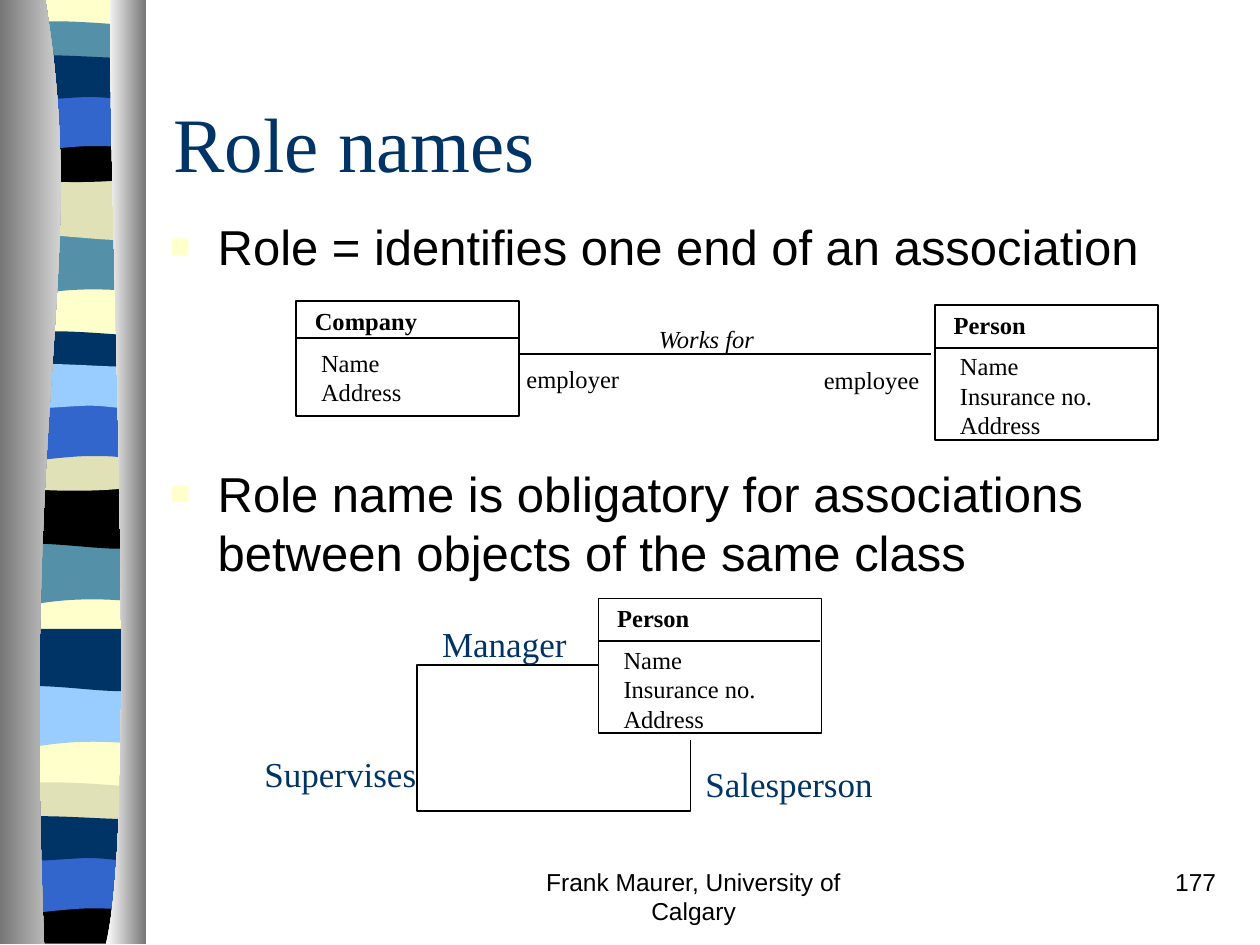
from lxml.etree import SubElement
from pptx import Presentation
from pptx.dml.color import RGBColor
from pptx.enum.shapes import MSO_CONNECTOR, MSO_SHAPE
from pptx.enum.text import MSO_ANCHOR, PP_ALIGN
from pptx.oxml.ns import qn
from pptx.util import Pt

PX = 9144
SERIF, SANS = "Times New Roman", "Arial"
BLACK = RGBColor(0x00, 0x00, 0x00)
WHITE = RGBColor(0xFF, 0xFF, 0xFF)
GREY = RGBColor(0x76, 0x76, 0x76)
NAVY = RGBColor(0x00, 0x33, 0x66)
BLUE = RGBColor(0x33, 0x66, 0xCC)
SKY = RGBColor(0x99, 0xCC, 0xFF)
TEAL = RGBColor(0x54, 0x90, 0xA8)
CREAM = RGBColor(0xFF, 0xFF, 0xCC)
SAND = RGBColor(0xE1, 0xE1, 0xB7)

FLAT = [(0, 0), (108, 0)]
BOWL = [(0, 0), (66, 5), (85, 0), (108, 0)]
PEAK = [(0, 0), (6, -5), (23, -4), (41, -4), (59, -4), (94, -1), (108, 0)]
LIFT = [(0, 0), (15, -5), (73, 0), (91, 0), (109, 0), (105, 0), (108, 0)]
SWELL = [(0, 0), (11, 5), (48, 0), (66, 0), (84, 0), (101, 5), (108, 0)]
HUMP = [(0, 0), (16, 0), (48, -5), (66, -5), (84, -5), (91, -5), (108, 0)]
SWAG = [(0, 0), (18, 4), (90, 4), (108, 0)]
SAG = [(0, 0), (18, 6), (90, 6), (108, 0)]
WAVE = [(0, 0), (33, -6), (90, 8), (108, 0)]
DIP = [(0, 0), (18, 8), (33, -8), (108, 0)]

DRIFT, ROLL, ARCH = (FLAT, DIP, 47), (FLAT, WAVE, 47), (FLAT, HUMP, 47)
CREST, RISE = (PEAK, SWAG, 24), (LIFT, SWELL, 31)
TROUGH, BASE = (BOWL, SAG, 32), (BOWL, FLAT, 37)
BANDS = [
    (6, 185, DRIFT, TEAL), (6, 141, ROLL, SAND), (6, 21, CREST, TEAL),
    (6, 108, TROUGH, BLACK), (6, 74, ARCH, BLUE), (6, 46, RISE, NAVY),
    (5, 431, DRIFT, TEAL), (5, 386, ROLL, BLACK), (5, 267, CREST, NAVY),
    (5, 353, TROUGH, SAND), (5, 320, ARCH, BLUE), (5, 291, RISE, SKY),
    (6, 544, DRIFT, SKY), (6, 499, ROLL, NAVY), (5, 625, CREST, SAND),
    (5, 712, BASE, BLACK), (5, 679, ARCH, BLUE), (5, 650, RISE, NAVY),
]


def trace(host, x, y, runs, close=True):
    """Draw an outline whose runs of 3n + 1 points are cubic curves."""
    spots = [((x + a) * PX, (y + b) * PX) for run in runs for a, b in run]
    pen = host.build_freeform(*spots[0], scale=1.0)
    pen.add_line_segments(spots[1:], close=close)
    shape = pen.convert_to_shape()
    shape.shadow.inherit = False
    marks = [i > 0 and len(run) % 3 == 1 for run in runs for i in range(len(run))]
    lines = list(shape._element.iter(qn("a:lnTo")))
    bends = [line for line, mark in zip(lines, marks[1:]) if mark]
    for i in range(0, len(bends), 3):
        curve = bends[i].makeelement(qn("a:cubicBezTo"))
        bends[i].addprevious(curve)
        for line in bends[i:i + 3]:
            curve.append(line[0])
            line.getparent().remove(line)
    return shape


def rule(host, x, y, w):
    """Draw a level black line."""
    line = host.add_connector(
        MSO_CONNECTOR.STRAIGHT, x * PX, y * PX, (x + w) * PX, y * PX)
    line.line.color.rgb = BLACK
    line.line.width = Pt(1)
    SubElement(line._element.spPr, qn("a:effectLst"))


def label(host, x, y, w, h, text, size=14, face=SERIF, color=BLACK,
          bold=False, italic=False, wrap=False, align=PP_ALIGN.LEFT):
    """Place one text box and return its frame."""
    box = host.add_textbox(x * PX, y * PX, w * PX, h * PX)
    frame = box.text_frame
    frame.text = text
    frame.word_wrap = wrap
    for para in frame.paragraphs:
        para.alignment = align
        for run in para.runs:
            font = run.font
            font.name, font.size = face, Pt(size)
            font.bold, font.italic = bold, italic
            font.color.rgb = color
    return frame


def paint(shape, color):
    """Fill a shape with one colour and no outline."""
    shape.fill.solid()
    shape.fill.fore_color.rgb = color
    shape.line.fill.background()


def shade(shape, left, right):
    """Fill a shape with a level blend."""
    shape.fill.gradient()
    shape.fill.gradient_angle = 0
    for stop, color in zip(shape.fill.gradient_stops, (left, right)):
        stop.color.rgb = color
    shape.line.fill.background()


def ribbon(host, x, y, h):
    """Draw the wavy bands between two grey pillars."""
    group = host.add_group_shape().shapes
    paint(trace(group, x + 6, y, [FLAT, [(108, h - 1), (0, h - 1)]]), CREAM)
    for dx, dy, (top, foot, deep), color in BANDS:
        edge = [(a, b + deep) for a, b in reversed(foot)]
        paint(trace(group, x + dx, y + dy, [top, edge]), color)
    left = [(36, 0), (71, 216), (17, 296), (35, h)]
    shade(trace(group, x, y, [left, [(0, h), (0, 0)]]), GREY, WHITE)
    right = [(88, 0), (84, 125), (111, 646), (84, h)]
    shade(trace(group, x, y, [right, [(116, h), (116, 0)]]), WHITE, GREY)


def heading(host, x, y, w, h):
    """Place the slide title."""
    frame = label(host, x, y, w, h, "Role names", 44, color=NAVY, wrap=True)
    frame.vertical_anchor = MSO_ANCHOR.MIDDLE


def points(host, x, y, w, h):
    """Place the two bullet points."""
    text = ("Role = identifies one end of an association\n"
            "Role name is obligatory for associations "
            "between objects of the same class")
    frame = label(host, x, y, w, h, text, 28, SANS, wrap=True)
    for para in frame.paragraphs:
        props = para._p.get_or_add_pPr()
        props.set("marL", str(38 * PX))
        props.set("indent", str(-38 * PX))
        tint = SubElement(props, qn("a:buClr"))
        SubElement(tint, qn("a:srgbClr"), val=str(CREAM))
        SubElement(props, qn("a:buSzPct"), val="70000")
        SubElement(props, qn("a:buFont"), typeface=SANS)
        SubElement(props, qn("a:buChar"), char="■")
    frame.paragraphs[1].space_before = Pt(107.5)


def card(host, x, y, h, split, name, wide, rows, span):
    """Draw a class box with its name and fields."""
    group = host.add_group_shape().shapes
    box = group.add_shape(MSO_SHAPE.RECTANGLE, x * PX, y * PX, 177 * PX, h * PX)
    box.shadow.inherit = False
    paint(box, WHITE)
    box.line.color.rgb = BLACK
    box.line.width = Pt(1)
    rule(group, x, y + split, 176)
    label(group, x + 10, y + 32, span, 10 + 23 * len(rows), "\n".join(rows))
    label(group, x + 5, y - 1, wide, 33, name, bold=True)


def person(host, x, y):
    """Draw the Person class box."""
    card(host, x, y, 107, 34, "Person", 78, ["Name", "Insurance no.", "Address"], 125)


def works(host, x, y):
    """Draw the link between Company and Person."""
    rule(host, x + 176, y + 42, 328)
    card(host, x, y, 91, 29, "Company", 101, ["Name", "Address"], 84)
    person(host, x + 507, y + 3)
    label(host, x + 278, y + 13, 98, 33, "Works for", italic=True)
    label(host, x + 173, y + 45, 94, 33, "employer")
    label(host, x + 409, y + 46, 96, 33, "employee")


def loop(host, x, y):
    """Draw the link from Person back to itself."""
    person(host, x + 275, y)
    bends = [(275, 53), (131, 53), (131, 169), (348, 169), (348, 112)]
    line = trace(host, x, y, [bends], close=False)
    line.fill.background()
    line.line.color.rgb = BLACK
    line.line.width = Pt(1)
    for dx, dy, w, text in ((141, 14, 119, "Manager"), (0, 117, 141, "Supervises"),
                            (350, 125, 153, "Salesperson")):
        label(host, x + dx, y + dy, w, 43, text, 20, color=NAVY)


def footer(host, x, y, h):
    """Place the author line and the page number."""
    label(host, x, y, 317, h, "Frank Maurer, University of Calgary",
          face=SANS, wrap=True, align=PP_ALIGN.CENTER)
    label(host, x + 375, y, 208, h, "177", face=SANS, wrap=True, align=PP_ALIGN.RIGHT)


def main():
    """Build the slide and save it."""
    deck = Presentation()
    deck.slide_width, deck.slide_height = 1000 * PX, 750 * PX
    host = deck.slides.add_slide(deck.slide_layouts[6]).shapes
    ribbon(host, 0, 0, 749)
    heading(host, 128, 50, 850, 125)
    points(host, 125, 167, 850, 450)
    works(host, 235, 239)
    loop(host, 200, 475)
    footer(host, 392, 683, 50)
    deck.save("out.pptx")


if __name__ == "__main__":
    main()
